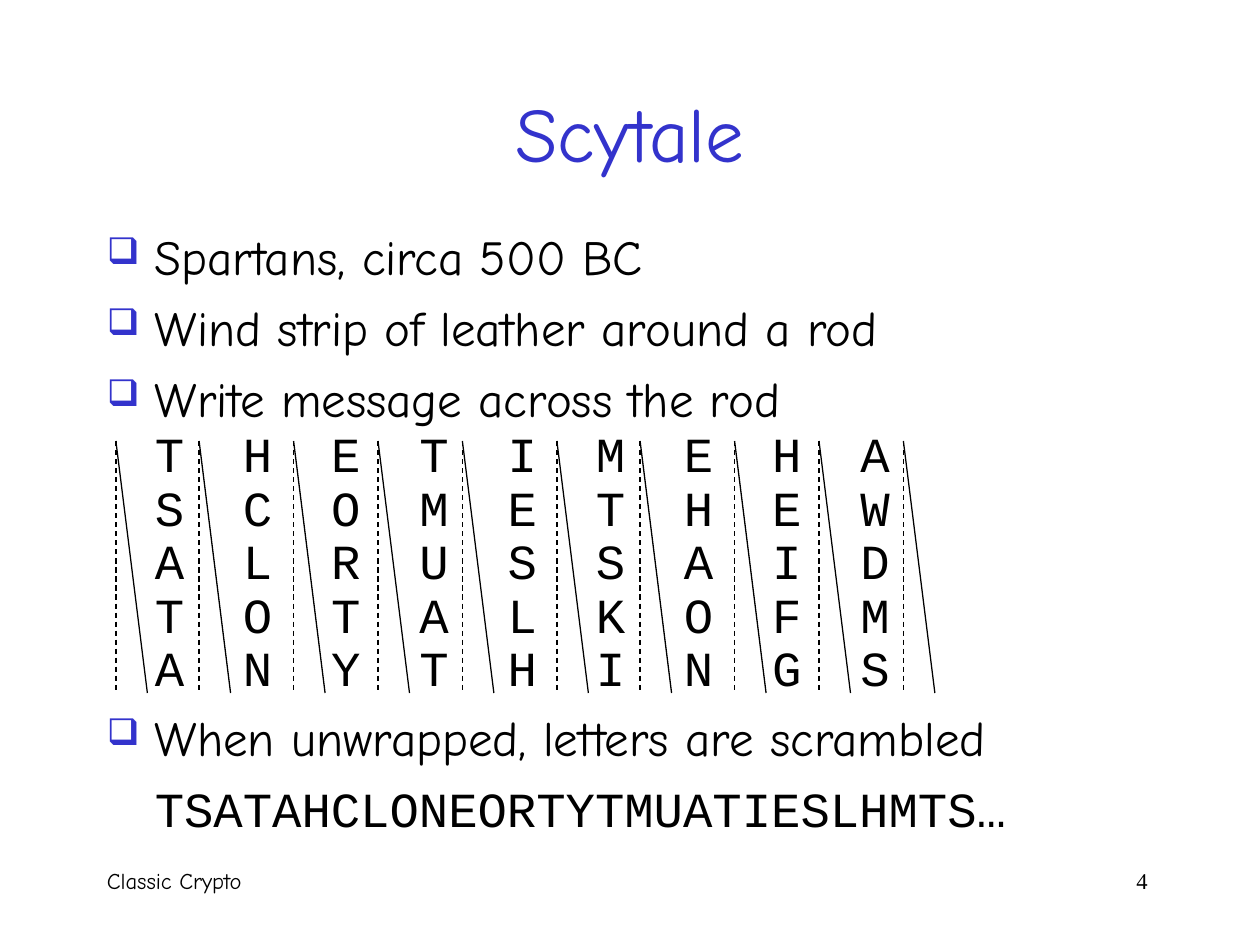
from pptx import Presentation
from pptx.dml.color import RGBColor
from pptx.enum.dml import MSO_LINE
from pptx.enum.shapes import MSO_CONNECTOR
from pptx.enum.text import MSO_ANCHOR, PP_ALIGN
from pptx.oxml.ns import qn
from pptx.util import Inches, Pt
from lxml.etree import SubElement

BLUE = RGBColor(0x33, 0x33, 0xCC)
BLACK = RGBColor(0, 0, 0)
HAND, MONO, SERIF = "Comic Neue", "Courier New", "Times New Roman"
INDENT = 0.38


def add_span(para, text, font, size, color=BLACK):
    span = para.add_run()
    span.text = text
    span.font.name = font
    span.font.size = Pt(size)
    span.font.color.rgb = color


def add_tabs(para, stops, align):
    tabs = SubElement(para._p.get_or_add_pPr(), qn("a:tabLst"))
    for stop in stops:
        SubElement(tabs, qn("a:tab"), pos=str(Inches(stop)), algn=align)


deck = Presentation()
deck.slide_width, deck.slide_height = Inches(10), Inches(7.5)
page = deck.slides.add_slide(deck.slide_layouts[5])

# Title
title = page.shapes.title
title.left, title.top = Inches(0.75), Inches(0.42)
title.width, title.height = Inches(8.5), Inches(1.25)
title.text_frame.vertical_anchor = MSO_ANCHOR.MIDDLE
para = title.text_frame.paragraphs[0]
para.alignment = PP_ALIGN.CENTER
add_span(para, "Scytale", HAND, 44, BLUE)

# Body: bullets, letter grid and the scrambled text
body_lines = [
    ("bullet", "Spartans, circa 500 BC"),
    ("bullet", "Wind strip of leather around a rod"),
    ("bullet", "Write message across the rod"),
    ("letters", "THETIMEHA"),
    ("letters", "SCOMETHEW"),
    ("letters", "ALRUSSAID"),
    ("letters", "TOTALKOFM"),
    ("letters", "ANYTHINGS"),
    ("bullet", "When unwrapped, letters are scrambled"),
    ("cipher", "TSATAHCLONEORTYTMUATIESLHMTS…"),
]
body = page.shapes.add_textbox(Inches(0.75), Inches(1.75), Inches(8.75), Inches(5))
frame = body.text_frame
frame.word_wrap = True
for index, (kind, text) in enumerate(body_lines):
    para = frame.add_paragraph() if index else frame.paragraphs[0]
    para.space_before = Pt(7 if index else 0)
    props = para._p.get_or_add_pPr()
    if kind == "letters":
        para.line_spacing = 0.7
        add_tabs(para, [INDENT + 0.7 * column for column in range(len(text))], "l")
        text = "\t" + "\t".join(text)
    else:
        props.set("marL", str(Inches(INDENT)))
    if kind == "bullet":
        props.set("indent", str(-Inches(INDENT)))
        bullet_color = SubElement(props, qn("a:buClr"))
        SubElement(bullet_color, qn("a:srgbClr"), val=str(BLUE))
        SubElement(props, qn("a:buSzPct"), val="75000")
        SubElement(props, qn("a:buChar"), char="❑")
    add_span(para, text, HAND if kind == "bullet" else MONO, 28)

# Strip edges: a dashed vertical and a slanted line at each turn
for x in (0.92, 1.58, 2.33, 3, 3.67, 4.42, 5.08, 5.83, 6.5, 7.17):
    for slant, dash in ((0.25, None), (0, MSO_LINE.DASH)):
        edge = page.shapes.add_connector(
            MSO_CONNECTOR.STRAIGHT, Inches(x), Inches(3.5), Inches(x + slant), Inches(5.5))
        edge.line.color.rgb = BLACK
        edge.line.width = Pt(0.75)
        if dash:
            edge.line.dash_style = dash
        SubElement(edge._element.spPr, qn("a:effectLst"))

# Footer with page number
footer = page.shapes.add_textbox(Inches(0.75), Inches(6.83), Inches(8.58), Inches(0.5))
footer.text_frame.word_wrap = True
para = footer.text_frame.paragraphs[0]
add_tabs(para, [8.26], "r")
add_span(para, "Classic Crypto\t", HAND, 12.9)
add_span(para, "4", SERIF, 12.9)

deck.save("out.pptx")
